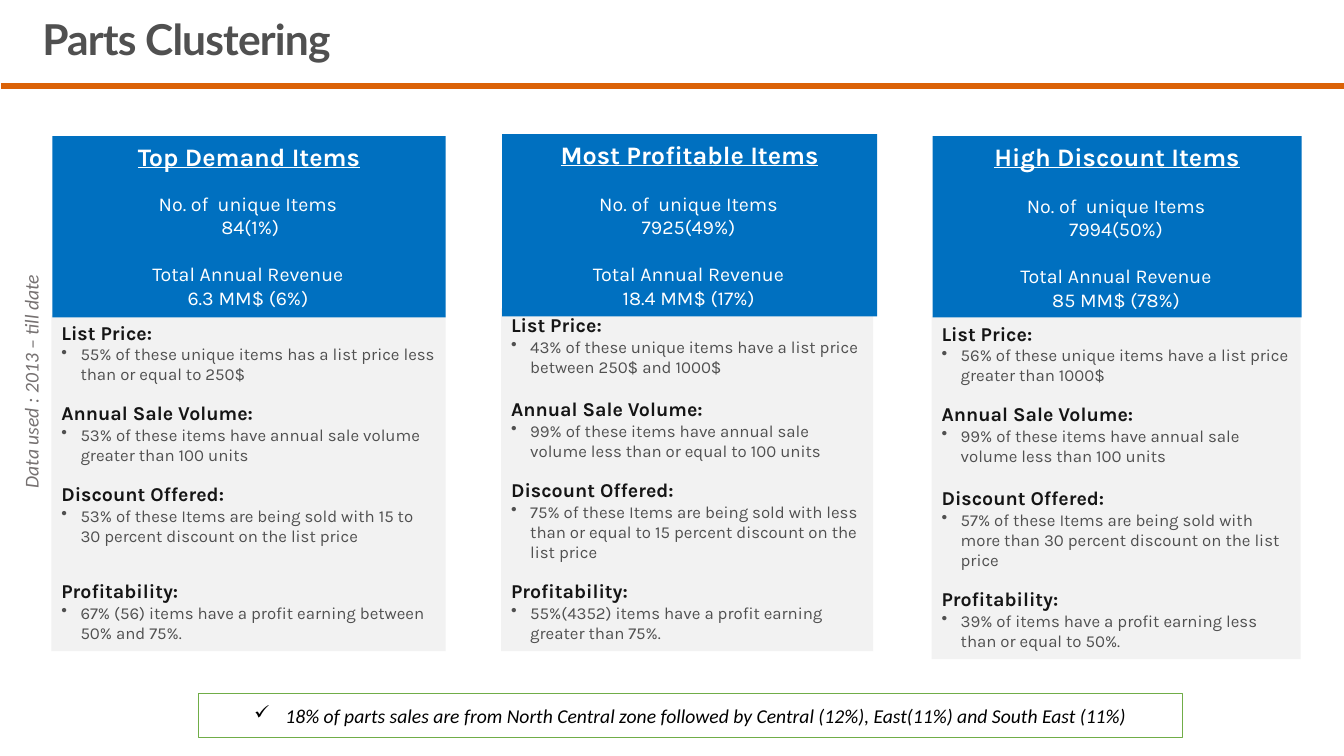
"""Build the Parts Clustering slide."""
from dataclasses import dataclass

from lxml import etree
from pptx import Presentation
from pptx.dml.color import RGBColor
from pptx.enum import shapes, text
from pptx.oxml import ns
from pptx.util import Inches, Pt

ALIGN = text.PP_ALIGN
ANCHOR = text.MSO_ANCHOR
SHAPE = shapes.MSO_SHAPE


@dataclass(frozen=True)
class Theme:
    """Colours, fonts and type sizes of the slide."""
    blue: str = "0070C0"
    panel: str = "F2F2F2"
    white: str = "FFFFFF"
    black: str = "000000"
    heading: str = "151515"
    grey: str = "505050"
    note: str = "767171"
    orange: str = "DB6207"
    green: str = "70AD47"
    card_font: str = "Karla"
    title_font: str = "Lato"
    note_font: str = "Calibri"
    title_size: float = 30.4
    card_size: float = 18
    label_size: float = 14
    body_size: float = 12


@dataclass(frozen=True)
class Box:
    """Position and size in inches."""
    left: float
    top: float
    width: float
    height: float

    def lengths(self):
        """Return the four values as lengths."""
        return [Inches(v) for v in (self.left, self.top, self.width, self.height)]


@dataclass(frozen=True)
class Finding:
    """A heading with its bullet and the gap above it in points."""
    heading: str
    detail: str
    gap: float = 0


@dataclass(frozen=True)
class Card:
    """One cluster of parts."""
    title: str
    items: str
    revenue: str
    header: Box
    stats: Box
    body: Box
    findings: tuple[Finding, ...]


T = Theme()
SMALL_GAP, WIDE_GAP, DOUBLE_GAP, STATS_GAP = 12, 14.4, 24, 16.8

CARDS = (
    Card("Top Demand Items", " 84(1%)", "6.3 MM$ (6%)",
         Box(0.52, 1.35, 3.9, 1.8), Box(0.76, 1.85, 3.4, 1.28), Box(0.51, 3.13, 3.91, 3.33),
         (Finding("List Price:", "55% of these unique items has a list price less than or equal to 250$"),
          Finding("Annual Sale Volume:",
                  "53% of these items have annual sale volume greater than 100 units", SMALL_GAP),
          Finding("Discount Offered:",
                  "53% of these Items are being sold with 15 to 30 percent discount on the list price",
                  SMALL_GAP),
          Finding("Profitability:",
                  "67% (56) items have a profit earning between 50% and 75%.", DOUBLE_GAP))),
    Card("Most Profitable Items", "7925(49%)", "18.4 MM$ (17%)",
         Box(4.98, 1.33, 3.72, 1.81), Box(5.08, 1.85, 3.5, 1.28), Box(4.97, 3.06, 3.69, 3.4),
         (Finding("List Price:", "43% of these unique items have a list price between 250$ and 1000$"),
          Finding("Annual Sale Volume:",
                  "99% of these items have annual sale volume less than or equal to 100 units", WIDE_GAP),
          Finding("Discount Offered:",
                  "75% of these Items are being sold with less than or equal to 15 percent discount "
                  "on the list price", SMALL_GAP),
          Finding("Profitability:",
                  "55%(4352) items have a profit earning greater than 75%.", SMALL_GAP))),
    Card("High Discount Items", "7994(50%)", "85 MM$ (78%)",
         Box(9.25, 1.35, 3.66, 1.8), Box(9.37, 1.87, 3.4, 1.28), Box(9.24, 3.14, 3.66, 3.4),
         (Finding("List Price:", "56% of these unique items have a list price greater than 1000$"),
          Finding("Annual Sale Volume:",
                  "99% of these items have annual sale volume less than 100 units", SMALL_GAP),
          Finding("Discount Offered:",
                  "57% of these Items are being sold with more than 30 percent discount on the list price",
                  WIDE_GAP),
          Finding("Profitability:",
                  "39% of items have a profit earning less than or equal to 50%.", SMALL_GAP))),
)


def add_panel(slide, box: Box, fill: str, line: str = "", kind=SHAPE.RECTANGLE, anchor=ANCHOR.TOP):
    """Add a filled shape and return it."""
    sp = slide.shapes.add_shape(kind, *box.lengths())
    sp.shadow.inherit = False
    sp.fill.solid()
    sp.fill.fore_color.rgb = RGBColor.from_string(fill)
    if line:
        sp.line.color.rgb = RGBColor.from_string(line)
        sp.line.width = Pt(1)
    else:
        sp.line.fill.background()
    sp.text_frame.word_wrap = True
    sp.text_frame.vertical_anchor = anchor
    return sp


def add_text_box(slide, box: Box):
    """Add a wrapping text box and return its text frame."""
    tf = slide.shapes.add_textbox(*box.lengths()).text_frame
    tf.word_wrap = True
    return tf


def add_line(tf, words: str, font: str, size: float, color: str, align=ALIGN.LEFT,
             gap: float = 0, bold=False, italic=False, underline=False):
    """Write one paragraph with a single run and return it."""
    p = tf.paragraphs[0]
    if p.runs:
        p = tf.add_paragraph()
    p.alignment = align
    if gap:
        p.space_before = Pt(gap)
    r = p.add_run()
    r.text = words
    r.font.name, r.font.size = font, Pt(size)
    r.font.bold, r.font.italic, r.font.underline = bold, italic, underline
    r.font.color.rgb = RGBColor.from_string(color)
    return p


def add_bullet(p, char: str, indent: float) -> None:
    """Give a paragraph a hanging bullet."""
    pPr = p._p.get_or_add_pPr()
    pPr.set("marL", str(Inches(indent)))
    pPr.set("indent", str(-Inches(indent)))
    etree.SubElement(pPr, ns.qn("a:buChar")).set("char", char)


def add_card(slide, card: Card) -> None:
    """Draw the findings, header and figures of a cluster."""
    tf = add_panel(slide, card.body, T.panel).text_frame
    for f in card.findings:
        add_line(tf, f.heading, T.card_font, T.label_size, T.heading, gap=f.gap, bold=True)
        add_bullet(add_line(tf, f.detail, T.card_font, T.body_size, T.grey), "•", 0.19)

    sp = add_panel(slide, card.header, T.blue, kind=SHAPE.ROUNDED_RECTANGLE)
    sp.adjustments[0] = 0
    add_line(sp.text_frame, card.title, T.card_font, T.card_size, T.white, ALIGN.CENTER,
             bold=True, underline=True)

    tf = add_text_box(slide, card.stats)
    for words, gap in (("No. of  unique Items", 0), (card.items, 0),
                       ("Total Annual Revenue", STATS_GAP), (card.revenue, 0)):
        add_line(tf, words, T.card_font, T.label_size, T.white, ALIGN.CENTER, gap)


def add_title(slide) -> None:
    """Draw the slide title and the rule below it."""
    tf = add_text_box(slide, Box(0, 0, 13.33, 0.71))
    tf.vertical_anchor = ANCHOR.MIDDLE
    tf.margin_left, tf.margin_top = Inches(0.42), Inches(0.17)
    tf.margin_right = tf.margin_bottom = Inches(0.06)
    p = add_line(tf, "Parts Clustering", T.title_font, T.title_size, T.grey, bold=True)
    p.line_spacing = 0.9
    p.runs[0].font._element.set("spc", "-60")

    rule = slide.shapes.add_connector(shapes.MSO_CONNECTOR.STRAIGHT, Inches(0.01), Inches(0.85),
                                      Inches(13.34), Inches(0.85))
    rule.line.color.rgb = RGBColor.from_string(T.orange)
    rule.line.width = Pt(4.5)
    etree.SubElement(rule._element.spPr, ns.qn("a:effectLst"))


def add_notes(slide) -> None:
    """Draw the zone summary and the sideways data period."""
    sp = add_panel(slide, Box(1.97, 6.88, 9.76, 0.44), T.white, T.green, anchor=ANCHOR.MIDDLE)
    p = add_line(sp.text_frame, "18% of parts sales are from North Central zone followed by "
                 "Central (12%), East(11%) and South East (11%)",
                 T.note_font, T.label_size, T.black, ALIGN.CENTER, italic=True)
    add_bullet(p, "✓", 0.31)

    sp = add_panel(slide, Box(-0.97, 3.64, 2.55, 0.29), T.white, anchor=ANCHOR.MIDDLE)
    sp.rotation = 270
    add_line(sp.text_frame, "Data used : 2013 – till date", T.note_font, T.label_size, T.note,
             ALIGN.CENTER, italic=True)


def main() -> None:
    """Build and save the slide."""
    prs = Presentation()
    prs.slide_width, prs.slide_height = Inches(13.33), Inches(7.5)
    slide = prs.slides.add_slide(prs.slide_layouts[6])
    for card in CARDS:
        add_card(slide, card)
    add_title(slide)
    add_notes(slide)
    prs.save("out.pptx")


if __name__ == "__main__":
    main()
